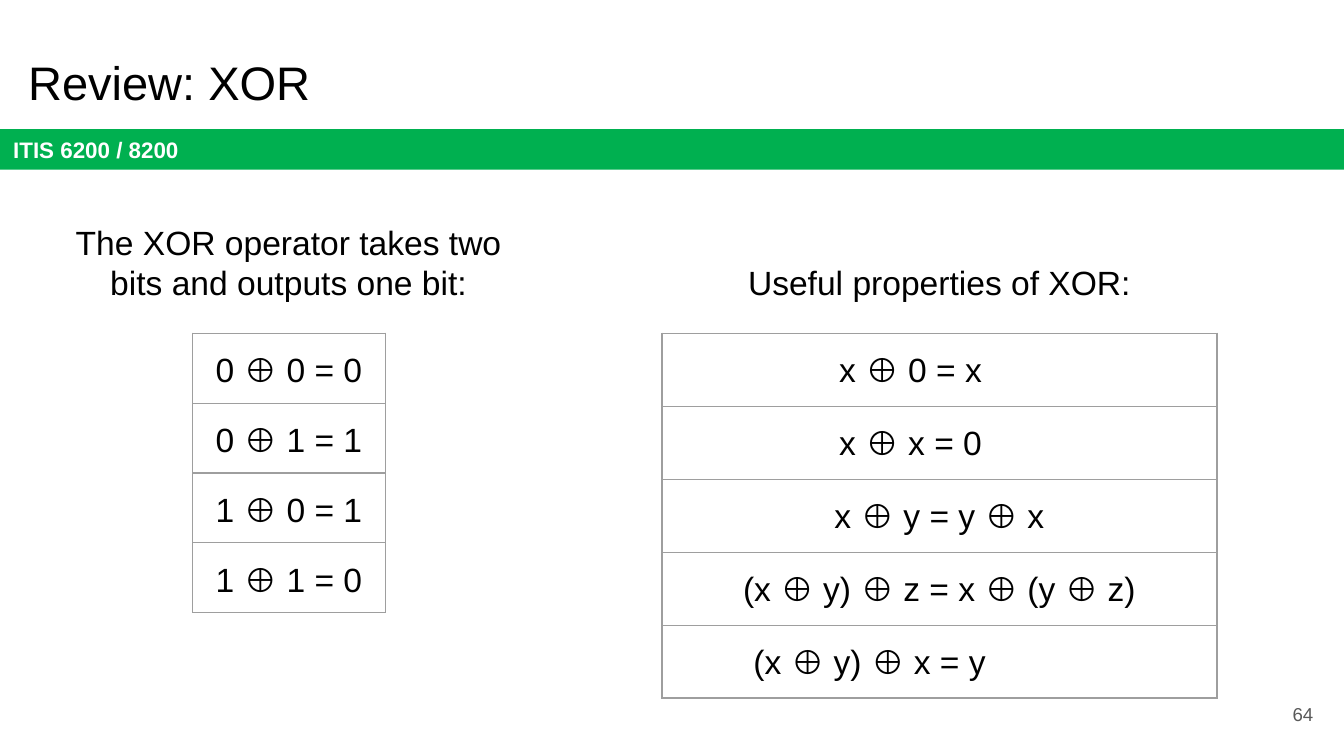
from dataclasses import dataclass

import pptx
import pptx.dml.color
import pptx.enum.shapes
import pptx.enum.text
import pptx.oxml
import pptx.oxml.ns
import pptx.util

Cm, Pt = pptx.util.Cm, pptx.util.Pt
ALIGN, ANCHOR = pptx.enum.text.PP_ALIGN, pptx.enum.text.MSO_ANCHOR


@dataclass(frozen=True)
class Theme:
    font: str = "Arial"
    text: str = "000000"
    band: str = "00B050"
    on_band: str = "FFFFFF"
    number: str = "595959"
    border: str = "9E9E9E"
    border_pt: float = 0.75
    title_pt: float = 25.2
    body_pt: float = 18
    band_pt: float = 12
    number_pt: float = 10
    inset_cm: float = 0.25


@dataclass(frozen=True)
class Box:
    left: float
    top: float
    width: float
    height: float

    def emu(self):
        return Cm(self.left), Cm(self.top), Cm(self.width), Cm(self.height)


@dataclass(frozen=True)
class Formula:
    text: str
    indent: float | None = None  # None means centred


@dataclass(frozen=True)
class FormulaTable:
    heading: str
    heading_box: Box
    left: float
    width: float
    row_height: float
    rows: tuple[Formula, ...]


THEME = Theme()
TABLE_TOP = 6.3
TABLES = (
    FormulaTable(
        "The XOR operator takes two bits and outputs one bit:",
        Box(0.91, 3.94, 9.09, 2.06), 3.64, 3.64, 1.32,
        tuple(Formula(f"{a} ⊕ {b} = {a ^ b}") for a in (0, 1) for b in (0, 1)),
    ),
    FormulaTable(
        "Useful properties of XOR:",
        Box(12.51, 4.71, 10.49, 1.27), 12.51, 10.49, 1.38,
        (
            Formula("x ⊕ 0 = x", 3.1),
            Formula("x ⊕ x = 0", 3.1),
            Formula("x ⊕ y = y ⊕ x"),
            Formula("(x ⊕ y) ⊕ z = x ⊕ (y ⊕ z)"),
            Formula("(x ⊕ y) ⊕ x = y", 1.48),
        ),
    ),
)


def rgb(color: str):
    return pptx.dml.color.RGBColor.from_string(color)


def write(tf, text: str, *, size: float = THEME.body_pt, color: str = THEME.text,
          bold: bool = False, align=ALIGN.LEFT):
    """Put formatted text in the first paragraph and return it."""
    p = tf.paragraphs[0]
    p.alignment = align
    r = p.add_run()
    r.text = text
    r.font.name, r.font.size, r.font.bold = THEME.font, Pt(size), bold
    r.font.color.rgb = rgb(color)
    return p


def set_insets(target) -> None:
    target.margin_left = target.margin_right = Cm(THEME.inset_cm)
    target.margin_top = target.margin_bottom = Cm(THEME.inset_cm)


def prepare(tf, anchor=ANCHOR.TOP) -> None:
    set_insets(tf)
    tf.word_wrap = True
    tf.auto_size = pptx.enum.text.MSO_AUTO_SIZE.NONE
    tf.vertical_anchor = anchor


def add_text(s, box: Box, text: str, *, anchor=ANCHOR.TOP, **style) -> None:
    tf = s.shapes.add_textbox(*box.emu()).text_frame
    prepare(tf, anchor)
    write(tf, text, **style)


def set_borders(cell) -> None:
    tc_pr = cell._tc.get_or_add_tcPr()
    for i, side in enumerate(("lnL", "lnR", "lnT", "lnB")):
        tc_pr.insert(i, pptx.oxml.parse_xml(
            f'<a:{side} {pptx.oxml.ns.nsdecls("a")} w="{Pt(THEME.border_pt)}">'
            f'<a:solidFill><a:srgbClr val="{THEME.border}"/></a:solidFill></a:{side}>'))


def add_formula_table(s, spec: FormulaTable) -> None:
    add_text(s, spec.heading_box, spec.heading, align=ALIGN.CENTER)
    box = Box(spec.left, TABLE_TOP, spec.width, spec.row_height * len(spec.rows))
    table = s.shapes.add_table(len(spec.rows), 1, *box.emu()).table
    table.first_row = table.horz_banding = False
    for i, formula in enumerate(spec.rows):
        table.rows[i].height = Cm(spec.row_height)
        cell = table.cell(i, 0)
        set_insets(cell)
        cell.fill.background()
        set_borders(cell)
        centred = formula.indent is None
        p = write(cell.text_frame, formula.text,
                  align=ALIGN.CENTER if centred else ALIGN.LEFT)
        p.line_spacing, p.space_after = 1.15, Pt(12)
        if not centred:
            p_pr = p._p.get_or_add_pPr()
            p_pr.set("marL", str(Cm(formula.indent)))
            p_pr.set("indent", "0")


def main() -> None:
    prs = pptx.Presentation()
    prs.slide_width, prs.slide_height = Cm(25.4), Cm(14.29)
    s = prs.slides.add_slide(prs.slide_layouts[5])

    # Title
    title = s.shapes.title
    title.left, title.top, title.width, title.height = Box(0.28, 0.76, 23.67, 1.6).emu()
    prepare(title.text_frame)
    write(title.text_frame, "Review: XOR", size=THEME.title_pt)

    # Course band
    sp = s.shapes.add_shape(pptx.enum.shapes.MSO_SHAPE.RECTANGLE,
                            *Box(0, 2.44, 25.4, 0.77).emu())
    sp.shadow.inherit = False
    sp.fill.solid()
    sp.fill.fore_color.rgb = rgb(THEME.band)
    sp.line.fill.background()
    prepare(sp.text_frame, ANCHOR.MIDDLE)
    write(sp.text_frame, "ITIS 6200 / 8200", size=THEME.band_pt,
          color=THEME.on_band, bold=True)

    # Truth table and properties
    for spec in TABLES:
        add_formula_table(s, spec)

    # Slide number
    add_text(s, Box(23.55, 12.95, 1.52, 1.09), "64", anchor=ANCHOR.MIDDLE,
             size=THEME.number_pt, color=THEME.number, align=ALIGN.RIGHT)

    prs.save("out.pptx")


if __name__ == "__main__":
    main()
